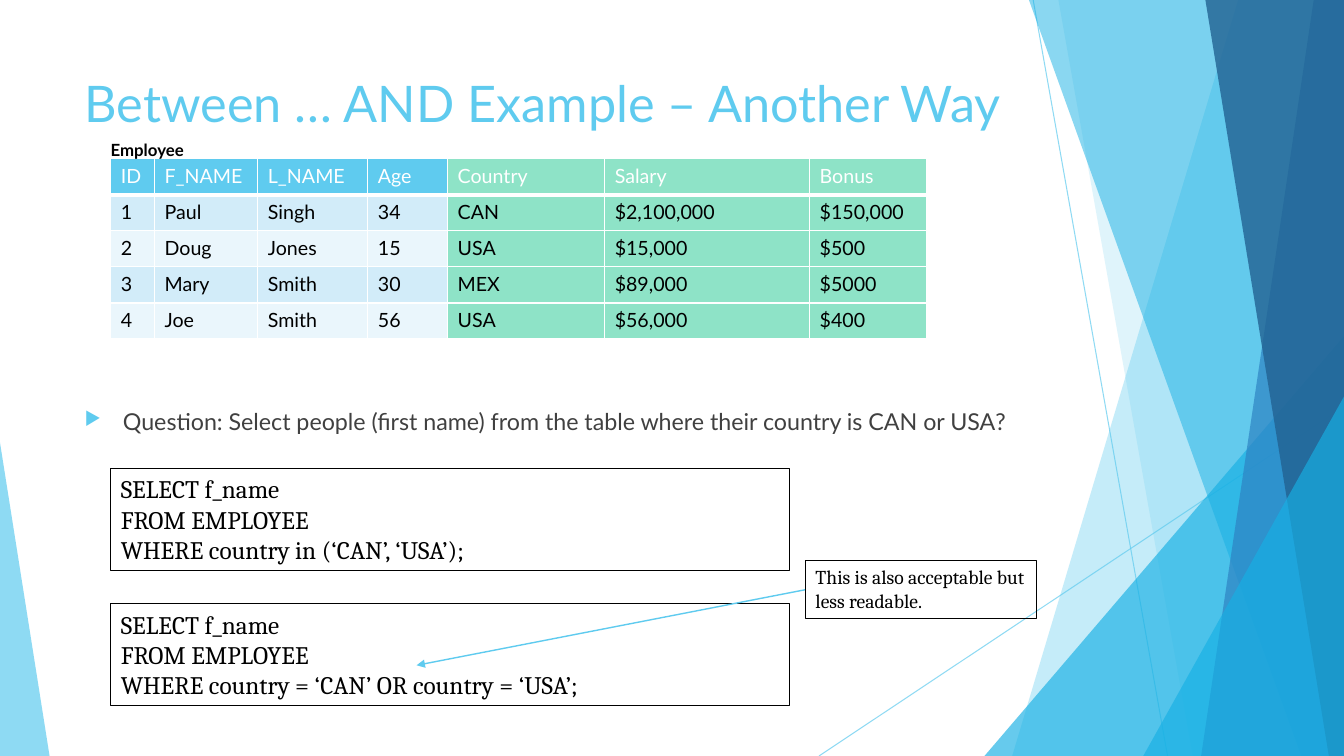
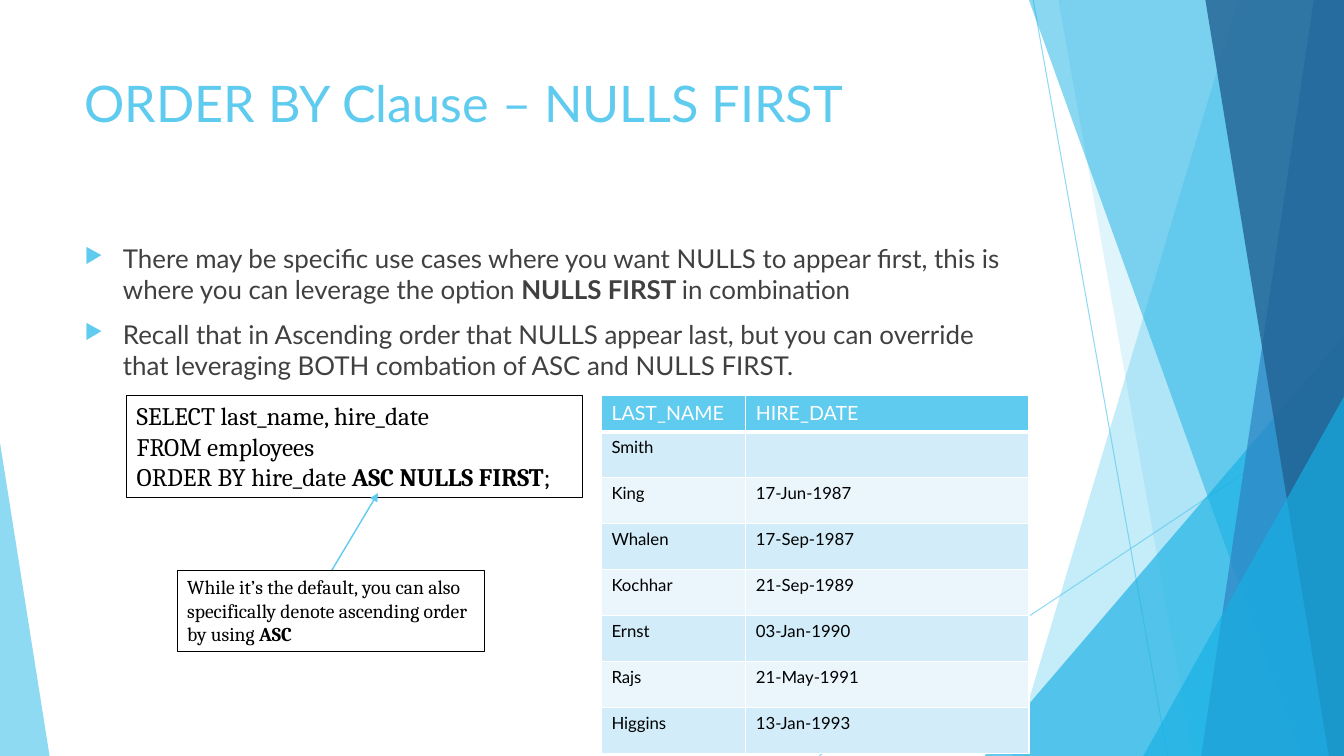
from dataclasses import dataclass
from typing import Optional

from lxml.etree import SubElement
from pptx import Presentation
from pptx.dml.color import RGBColor
from pptx.enum.shapes import MSO_CONNECTOR, MSO_SHAPE
from pptx.enum.text import MSO_ANCHOR, PP_ALIGN
from pptx.oxml.ns import qn
from pptx.shapes.base import BaseShape
from pptx.slide import Slide
from pptx.text.text import TextFrame
from pptx.util import Emu, Inches, Pt

SLIDE_WIDTH, SLIDE_HEIGHT = Inches(40 / 3), Inches(7.5)
COLUMNS, ROWS = 160, 90

COLORS = {
    "sky": "5FCBEF",
    "azure": "17B0E4",
    "blue": "2E83C3",
    "navy": "226292",
    "mint": "8EE3C7",
    "band_dark": "D2ECF9",
    "band_light": "EAF6FC",
    "body": "404040",
    "black": "000000",
    "white": "FFFFFF",
}


def across(columns: float) -> Emu:
    return Emu(round(SLIDE_WIDTH * columns / COLUMNS))


def down(rows: float) -> Emu:
    return Emu(round(SLIDE_HEIGHT * rows / ROWS))


def color(name: str) -> RGBColor:
    return RGBColor.from_string(COLORS[name])


@dataclass(frozen=True)
class Area:
    left: float
    top: float
    width: float
    height: float

    def emu(self) -> tuple[Emu, Emu, Emu, Emu]:
        return across(self.left), down(self.top), across(self.width), down(self.height)


@dataclass(frozen=True)
class TextStyle:
    font: str
    size: float
    color: str
    bold: bool = False
    bullet: bool = False


@dataclass(frozen=True)
class Line:
    start: tuple[float, float]
    end: tuple[float, float]
    width: float = 1
    opacity: int = 100
    arrow: bool = True


@dataclass(frozen=True)
class Facet:
    top_column: float
    bottom_column: float
    color: str
    opacity: int


@dataclass(frozen=True)
class Wedge:
    area: Area
    apex: float
    color: str
    opacity: int


@dataclass(frozen=True)
class Grid:
    left: float
    top: float
    columns: list[float]
    header_height: float
    row_height: float
    cells: list[list[str]]
    size: float
    mint_from: Optional[int] = None


TITLE = TextStyle("Lato", 36, "sky")
LABEL = TextStyle("Lato", 12, "black", bold=True)
CODE = TextStyle("Cambria", 18, "black")
REMARK = TextStyle("Cambria", 14, "black")

TITLE_AREA = Area(8.9, 8, 112.8, 17.3)

BACKDROP_LINES = [
    Line((123, 0), (139, 90), 0.75, 70, False),
    Line((160, 48.4), (97.5, 90), 0.75, 70, False),
]
BACKDROP_SHAPES = [
    Facet(147.4, 120.5, "sky", 36),
    Facet(126, 142, "sky", 20),
    Wedge(Area(117.2, 40, 42.8, 50), 1, "azure", 66),
    Facet(122.5, 154.9, "azure", 50),
    Facet(156.4, 143, "blue", 70),
    Facet(143.5, 158.2, "navy", 80),
    Wedge(Area(136.1, 47.2, 23.9, 42.8), 1, "azure", 66),
    Wedge(Area(0, 52.7, 5.9, 37.3), 0, "sky", 70),
]

EMPLOYEES = Grid(
    13.2, 18.9, [5.2, 12.3, 13.1, 9.5, 18.7, 24.4, 13.9], 4.29, 4.29,
    [
        ["ID", "F_NAME", "L_NAME", "Age", "Country", "Salary", "Bonus"],
        ["1", "Paul", "Singh", "34", "CAN", "$2,100,000", "$150,000"],
        ["2", "Doug", "Jones", "15", "USA", "$15,000", "$500"],
        ["3", "Mary", "Smith", "30", "MEX", "$89,000", "$5000"],
        ["4", "Joe", "Smith", "56", "USA", "$56,000", "$400"],
    ],
    14, mint_from=4,
)
HIRE_DATES = Grid(
    71.6, 47.1, [17.2, 33.7], 4.29, 5.48,
    [
        ["LAST_NAME", "HIRE_DATE"],
        ["Smith", ""],
        ["King", "17-Jun-1987"],
        ["Whalen", "17-Sep-1987"],
        ["Kochhar", "21-Sep-1989"],
        ["Ernst", "03-Jan-1990"],
        ["Rajs", "21-May-1991"],
        ["Higgins", "13-Jan-1993"],
    ],
    12,
)


def set_opacity(shape: BaseShape, percent: int) -> None:
    for element in shape._element.spPr.iter(qn("a:srgbClr")):
        SubElement(element, qn("a:alpha"), val=str(percent * 1000))


def draw_line(slide: Slide, line: Line) -> None:
    (x1, y1), (x2, y2) = line.start, line.end
    connector = slide.shapes.add_connector(
        MSO_CONNECTOR.STRAIGHT, across(x1), down(y1), across(x2), down(y2)
    )
    connector.line.color.rgb = color("sky")
    connector.line.width = Pt(line.width)
    if line.opacity < 100:
        set_opacity(connector, line.opacity)
    if line.arrow:
        SubElement(connector.line._get_or_add_ln(), qn("a:tailEnd"), type="triangle")
    SubElement(connector._element.spPr, qn("a:effectLst"))


def draw_backdrop(slide: Slide) -> None:
    for line in BACKDROP_LINES:
        draw_line(slide, line)
    for item in BACKDROP_SHAPES:
        if isinstance(item, Facet):
            builder = slide.shapes.build_freeform(across(item.top_column), 0, scale=1.0)
            builder.add_line_segments([
                (SLIDE_WIDTH, 0),
                (SLIDE_WIDTH, SLIDE_HEIGHT),
                (across(item.bottom_column), SLIDE_HEIGHT),
            ])
            shape = builder.convert_to_shape()
        else:
            shape = slide.shapes.add_shape(MSO_SHAPE.ISOSCELES_TRIANGLE, *item.area.emu())
            shape.adjustments[0] = item.apex
        shape.shadow.inherit = False
        shape.fill.solid()
        shape.fill.fore_color.rgb = color(item.color)
        shape.line.fill.background()
        set_opacity(shape, item.opacity)


def write_text(frame: TextFrame, paragraphs: list[str], style: TextStyle) -> None:
    frame.word_wrap = True
    frame.vertical_anchor = MSO_ANCHOR.TOP
    for index, text in enumerate(paragraphs):
        paragraph = frame.add_paragraph() if index else frame.paragraphs[0]
        paragraph.alignment = PP_ALIGN.LEFT
        for position, part in enumerate(text.split("**")):
            if part:
                run = paragraph.add_run()
                run.text = part
                if position % 2:
                    run.font.bold = True
        if style.bullet:
            properties = paragraph._p.get_or_add_pPr()
            properties.set("marL", str(Inches(0.38)))
            properties.set("indent", str(-Inches(0.38)))
            bullet_color = SubElement(properties, qn("a:buClr"))
            SubElement(bullet_color, qn("a:srgbClr"), val=COLORS["sky"])
            SubElement(properties, qn("a:buSzPct"), val="80000")
            SubElement(properties, qn("a:buChar"), char="▶")
            if index:
                paragraph.space_before = Pt(10)
        paragraph.font.name = style.font
        paragraph.font.size = Pt(style.size)
        paragraph.font.bold = style.bold
        paragraph.font.color.rgb = color(style.color)


def add_text(slide: Slide, area: Area, paragraphs: list[str], style: TextStyle) -> None:
    write_text(slide.shapes.add_textbox(*area.emu()).text_frame, paragraphs, style)


def add_framed_text(slide: Slide, area: Area, paragraphs: list[str], style: TextStyle) -> None:
    shape = slide.shapes.add_shape(MSO_SHAPE.RECTANGLE, *area.emu())
    shape.shadow.inherit = False
    shape.fill.background()
    shape.line.color.rgb = color("black")
    shape.line.width = Pt(0.75)
    write_text(shape.text_frame, paragraphs, style)


def add_grid(slide: Slide, grid: Grid) -> None:
    heights = [grid.header_height] + [grid.row_height] * (len(grid.cells) - 1)
    area = Area(grid.left, grid.top, sum(grid.columns), sum(heights))
    table = slide.shapes.add_table(len(heights), len(grid.columns), *area.emu()).table
    table.first_row = table.horz_banding = False
    for column, width in zip(table.columns, grid.columns):
        column.width = across(width)
    for row_index, (values, height) in enumerate(zip(grid.cells, heights)):
        table.rows[row_index].height = down(height)
        header = row_index == 0
        band = "sky" if header else "band_dark" if row_index % 2 else "band_light"
        borders = {"lnL": 1, "lnR": 1, "lnT": 1, "lnB": 3} if header else {"lnL": 1, "lnR": 1, "lnB": 1}
        style = TextStyle("Lato", 14 if header else grid.size, "white" if header else "black")
        for column_index, value in enumerate(values):
            cell = table.cell(row_index, column_index)
            for side, width in borders.items():
                border = SubElement(cell._tc.get_or_add_tcPr(), qn(f"a:{side}"), w=str(Pt(width)))
                fill = SubElement(border, qn("a:solidFill"))
                SubElement(fill, qn("a:srgbClr"), val=COLORS["white"])
            mint = grid.mint_from is not None and column_index >= grid.mint_from
            cell.fill.solid()
            cell.fill.fore_color.rgb = color("mint" if mint else band)
            write_text(cell.text_frame, [value], style)


def add_titled_slide(presentation: Presentation, title: str) -> Slide:
    slide = presentation.slides.add_slide(presentation.slide_layouts[6])
    draw_backdrop(slide)
    add_text(slide, TITLE_AREA, [title], TITLE)
    return slide


def add_between_slide(presentation: Presentation) -> None:
    slide = add_titled_slide(presentation, "Between … AND Example – Another Way")
    question = "Question: Select people (first name) from the table where their country is CAN or USA?"
    add_text(slide, Area(8.9, 47.9, 112.8, 7.5), [question], TextStyle("Lato", 16.6, "body", bullet=True))
    add_grid(slide, EMPLOYEES)
    add_text(slide, Area(12, 16.1, 25.8, 3.6), ["Employee"], LABEL)
    conditions = ["country in (‘CAN’, ‘USA’);", "country = ‘CAN’ OR country = ‘USA’;"]
    for index, condition in enumerate(conditions):
        query = ["SELECT f_name", "FROM EMPLOYEE", f"WHERE {condition}"]
        add_framed_text(slide, Area(13.2, 55.8 + 16.1 * index, 80.8, 12.1), query, CODE)
    draw_line(slide, Line((95.9, 70.2), (49.6, 79.2)))
    add_framed_text(slide, Area(95.9, 66.7, 27.5, 6.9), ["This is also acceptable but less readable."], REMARK)


def add_nulls_slide(presentation: Presentation) -> None:
    slide = add_titled_slide(presentation, "ORDER BY Clause – NULLS FIRST")
    points = [
        "There may be specific use cases where you want NULLS to appear first, this is where you can "
        "leverage the option **NULLS FIRST **in combination",
        "Recall that in Ascending order that NULLS appear last, but you can override that leveraging "
        "BOTH combation of ASC and NULLS FIRST.",
    ]
    add_text(slide, Area(8.9, 28.3, 112.8, 20.8), points, TextStyle("Lato", 18.5, "body", bullet=True))
    query = ["SELECT last_name, hire_date", "FROM employees", "ORDER BY hire_date **ASC NULLS FIRST**;"]
    add_framed_text(slide, Area(15.1, 47.1, 54.3, 12.1), query, CODE)
    add_grid(slide, HIRE_DATES)
    draw_line(slide, Line((39.5, 67.9), (45, 58.7)))
    remark = "While it’s the default, you can also specifically denote ascending order by using **ASC**"
    add_framed_text(slide, Area(21.1, 67.9, 36.6, 9.7), [remark], REMARK)


def main() -> None:
    presentation = Presentation()
    presentation.slide_width, presentation.slide_height = SLIDE_WIDTH, SLIDE_HEIGHT
    add_between_slide(presentation)
    add_nulls_slide(presentation)
    presentation.save("out.pptx")


if __name__ == "__main__":
    main()
